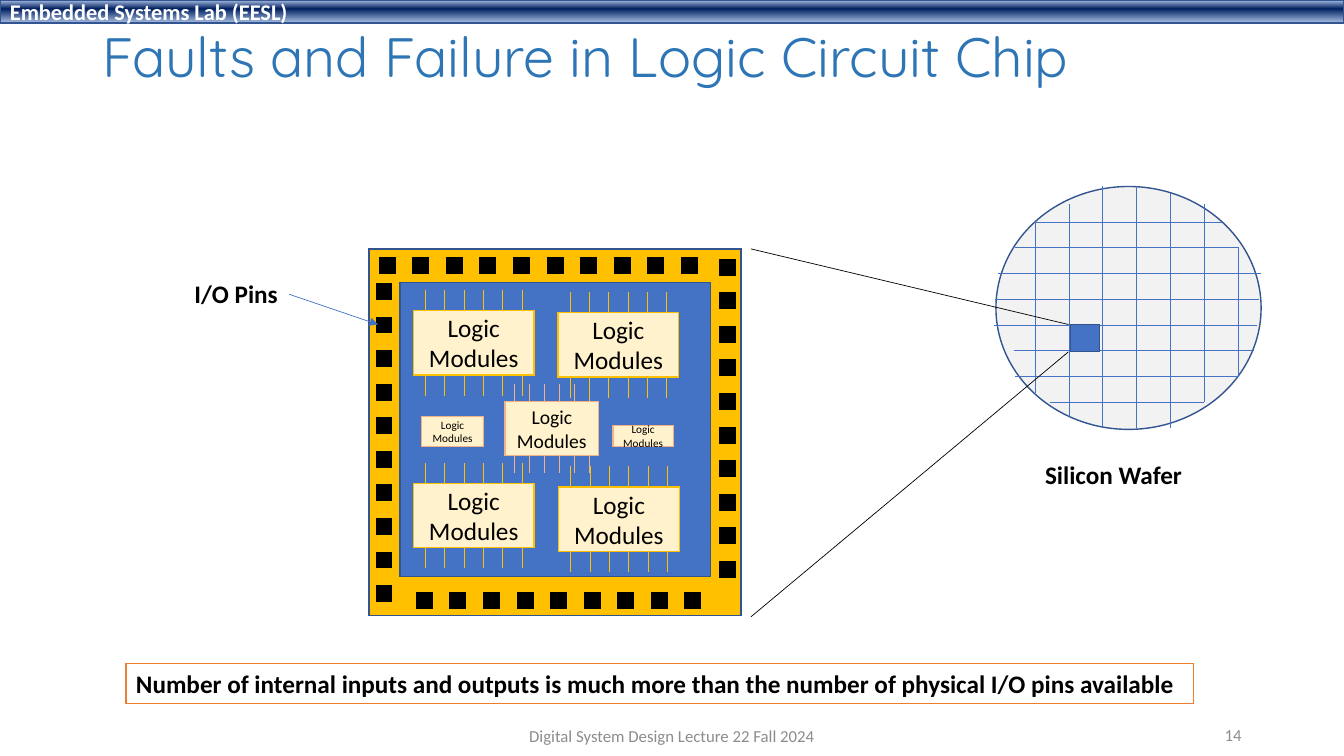
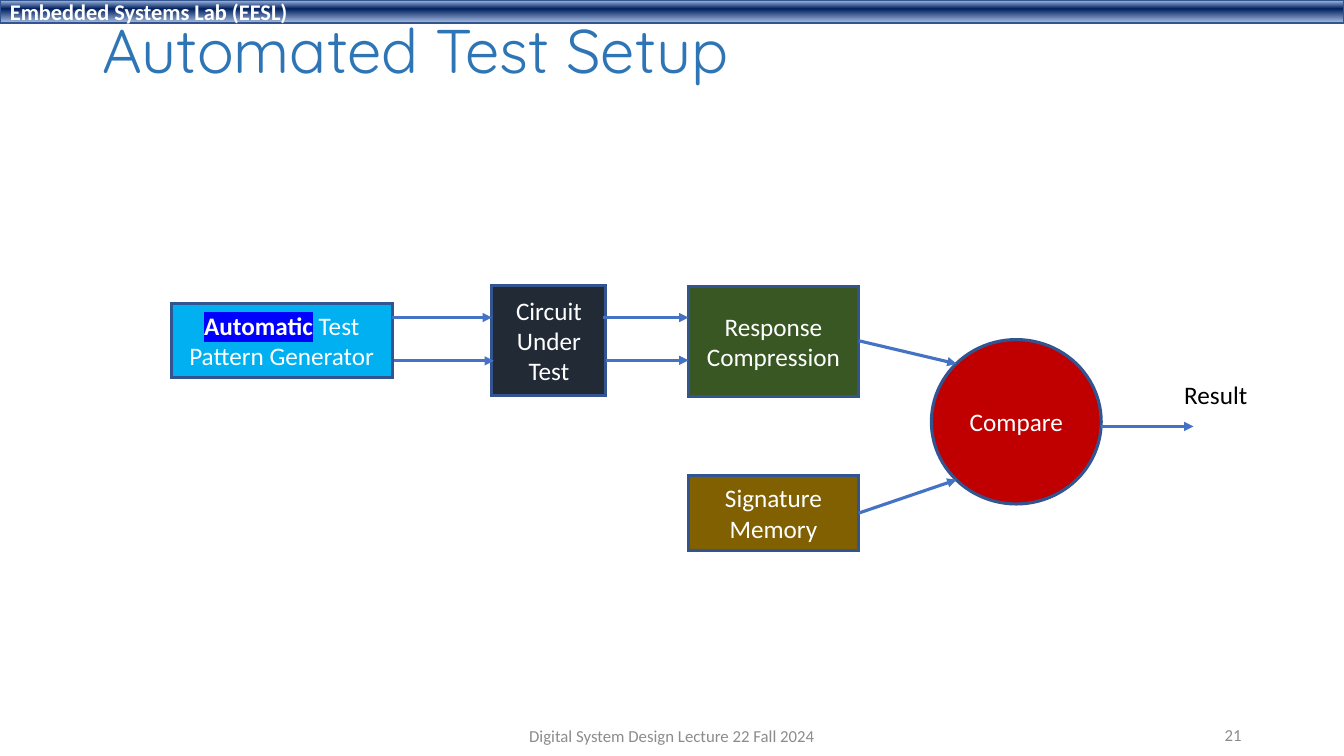
"""Build two lecture slides on chip faults and automated test equipment."""
from dataclasses import dataclass
from typing import Optional

from pptx import Presentation
from pptx import util as u
from pptx.dml.color import RGBColor
from pptx.enum import dml, shapes, text
from pptx.oxml import parse_xml
from pptx.oxml.ns import nsdecls

BLACK = RGBColor(0x00, 0x00, 0x00)
WHITE = RGBColor(0xFF, 0xFF, 0xFF)
GREY = RGBColor(0x8C, 0x8C, 0x8C)
PALE_GREY = RGBColor(0xF2, 0xF2, 0xF2)
TITLE_BLUE = RGBColor(0x2E, 0x75, 0xB6)
BLUE = RGBColor(0x44, 0x72, 0xC4)
EDGE_BLUE = RGBColor(0x32, 0x54, 0x91)
BAND_TOP = RGBColor(0xAB, 0xC0, 0xE4)
BAND_CORE = RGBColor(0x00, 0x20, 0x60)
BAND_BOTTOM = RGBColor(0xAC, 0xC1, 0xE5)
SKY = RGBColor(0x00, 0xB0, 0xF0)
SLATE = RGBColor(0x22, 0x2A, 0x35)
GREEN = RGBColor(0x38, 0x57, 0x23)
RED = RGBColor(0xC0, 0x00, 0x00)
OLIVE = RGBColor(0x80, 0x60, 0x00)
GOLD = RGBColor(0xFF, 0xC0, 0x00)
CREAM = RGBColor(0xFF, 0xF2, 0xCC)
PEACH = RGBColor(0xF4, 0xB1, 0x83)
ORANGE = RGBColor(0xED, 0x7D, 0x31)
HIGHLIGHT = RGBColor(0x00, 0x00, 0xFF)

BODY_FONT = "Calibri"
TITLE_FONT = "Quicksand"
PAGE_WIDTH, PAGE_HEIGHT = 960, 540
RECT = shapes.MSO_SHAPE.RECTANGLE
OVAL = shapes.MSO_SHAPE.OVAL
LEFT, CENTER, RIGHT = text.PP_ALIGN.LEFT, text.PP_ALIGN.CENTER, text.PP_ALIGN.RIGHT
TOP, MIDDLE = text.MSO_ANCHOR.TOP, text.MSO_ANCHOR.MIDDLE


@dataclass(frozen=True)
class Area:
    """A rectangle in points."""

    left: float
    top: float
    width: float
    height: float

    def lengths(self) -> list:
        """Return the four lengths as Pt values."""
        return [u.Pt(value) for value in (self.left, self.top, self.width, self.height)]


@dataclass(frozen=True)
class Style:
    """How a text is set."""

    size: float = 18
    color: RGBColor = BLACK
    bold: bool = False
    align: text.PP_ALIGN = LEFT
    anchor: text.MSO_ANCHOR = TOP
    wrap: bool = True
    font: str = BODY_FONT
    spacing: Optional[float] = None


@dataclass(frozen=True)
class Block:
    """A filled shape with an optional label."""

    area: Area
    fill: RGBColor
    line: RGBColor = EDGE_BLUE
    weight: float = 1
    label: str = ""
    style: Style = Style(align=CENTER, anchor=MIDDLE)
    kind: shapes.MSO_SHAPE = RECT
    marked: str = ""


@dataclass(frozen=True)
class Stroke:
    """A straight line in points."""

    x1: float
    y1: float
    x2: float
    y2: float
    color: RGBColor = BLUE
    weight: float = 0.5
    arrow: bool = False
    dotted: bool = False


LABEL = Style(bold=True, wrap=False)
STAGE = Style(color=WHITE, align=CENTER, anchor=MIDDLE)
FOOTER = Style(size=12, color=GREY, align=CENTER, anchor=MIDDLE)
NUMBER = Style(size=12, color=GREY, align=RIGHT, anchor=MIDDLE)

BAND_STOPS = [(0, BAND_TOP), (38, BAND_CORE), (100, BAND_BOTTOM)]
PIN_ROWS = [
    (276.5, 189.4, 509.8, 189.4),
    (303.1, 429.1, 518.4, 429.1),
    (274.3, 208.1, 274.3, 427.7),
    (519.8, 190.8, 519.8, 430.6),
]
LARGE_MODULES = [(295.2, 221.8), (398.5, 223.2), (295.2, 345.2), (398.9, 347.8)]
SMALL_MODULES = [Area(437.8, 303.8, 43.2, 15.1), Area(301, 297.4, 44.6, 21.6)]
WAFER_COLUMNS = [(158, 281), (146, 298), (133, 306), (133, 306), (138, 306), (146, 287), (177, 269)]
WAFER_ROWS = [(739, 873), (725, 885), (713, 901), (711, 899),
              (710, 898), (724, 896), (725, 885), (750, 860)]
STAGES = [
    Block(Area(122.4, 216.7, 157.7, 53.3), SKY, weight=2.25, style=STAGE,
          label=" Test Pattern Generator", marked="Automatic"),
    Block(Area(351.4, 203.8, 81.4, 78.5), SLATE, weight=2.25, style=STAGE,
          label="Circuit Under Test"),
    Block(Area(491.8, 204.5, 121.3, 78.5), GREEN, weight=2.25, style=STAGE,
          label="Response Compression"),
    Block(Area(665.3, 242.6, 121.3, 117.4), RED, weight=2.25, style=STAGE,
          label="Compare", kind=OVAL),
    Block(Area(491.8, 339.8, 121.3, 53.3), OLIVE, weight=2.25, style=STAGE,
          label="Signature Memory"),
]
SIGNALS = [
    (786.2, 304.6, 852.5, 304.6),
    (613.4, 243.4, 683.3, 259.9),
    (613.4, 366.5, 683.3, 342.7),
    (280.1, 226.8, 351.4, 226.8),
    (281.5, 257.8, 352.8, 257.8),
    (430.6, 226.8, 491.8, 226.8),
    (432.7, 257.4, 491.8, 257.4),
]


def write(box, label: str, style: Style, marked: str = "") -> None:
    """Put a label, led by an optional highlighted part, into a shape."""
    frame = box.text_frame
    frame.word_wrap = style.wrap
    frame.vertical_anchor = style.anchor
    para = frame.paragraphs[0]
    para.alignment = style.align
    if style.spacing:
        para.line_spacing = style.spacing
    para.font.name = style.font
    para.font.size = u.Pt(style.size)
    para.font.bold = style.bold
    para.font.color.rgb = style.color
    if marked:
        span = para.add_run()
        span.text = marked
        span.font.bold = True
        span.font._element.append(parse_xml(
            f'<a:highlight {nsdecls("a")}><a:srgbClr val="{HIGHLIGHT}"/></a:highlight>'))
    para.add_run().text = label


def add_label(page, area: Area, label: str, style: Style) -> None:
    """Add a plain text box."""
    write(page.shapes.add_textbox(*area.lengths()), label, style)


def add_block(canvas, block: Block):
    """Add a filled shape to a shape collection."""
    box = canvas.add_shape(block.kind, *block.area.lengths())
    box.shadow.inherit = False
    box.fill.solid()
    box.fill.fore_color.rgb = block.fill
    box.line.color.rgb = block.line
    box.line.width = u.Pt(block.weight)
    box.line._get_or_add_ln().append(parse_xml(f'<a:miter {nsdecls("a")} lim="800000"/>'))
    if block.label:
        write(box, block.label, block.style, block.marked)
    return box


def add_stroke(canvas, stroke: Stroke) -> None:
    """Add a line, an arrow or a row of square dots."""
    ends = [u.Pt(value) for value in (stroke.x1, stroke.y1, stroke.x2, stroke.y2)]
    link = canvas.add_connector(shapes.MSO_CONNECTOR.STRAIGHT, *ends)
    link.line.color.rgb = stroke.color
    link.line.width = u.Pt(stroke.weight)
    outline = link.line._get_or_add_ln()
    if stroke.dotted:
        link.line.dash_style = dml.MSO_LINE.ROUND_DOT
        outline.set("cap", "sq")
    if stroke.arrow:
        outline.append(parse_xml(f'<a:tailEnd {nsdecls("a")} type="triangle"/>'))
    link._element.spPr.append(parse_xml(f'<a:effectLst {nsdecls("a")}/>'))


def add_band(page) -> None:
    """Add the gradient band across the top."""
    style = Style(size=16, color=WHITE, bold=True, anchor=MIDDLE)
    band = add_block(page.shapes, Block(Area(0, 0, PAGE_WIDTH, 16.6), BLUE,
                                        label="Embedded Systems Lab (EESL)", style=style))
    stops = "".join(f'<a:gs pos="{percent * 1000}"><a:srgbClr val="{color}"/></a:gs>'
                    for percent, color in BAND_STOPS)
    solid = band._element.spPr.find("{*}solidFill")
    solid.getparent().replace(solid, parse_xml(
        f'<a:gradFill {nsdecls("a")} rotWithShape="1"><a:gsLst>{stops}</a:gsLst>'
        '<a:lin ang="5400000" scaled="0"/></a:gradFill>'))


def add_page(deck, title: str, size: float, height: float, number: int):
    """Add a slide with band, title and footer."""
    page = deck.slides.add_slide(deck.slide_layouts[6])
    add_band(page)
    add_label(page, Area(66, 10.8, 828, height), title,
              Style(size=size, color=TITLE_BLUE, anchor=MIDDLE, font=TITLE_FONT, spacing=0.9))
    add_label(page, Area(318, 511.2, 324, 28.8),
              "Digital System Design Lecture 22 Fall 2024", FOOTER)
    add_label(page, Area(678, 510.5, 216, 28.8), str(number), NUMBER)
    return page


def add_module(page, area: Area, line: RGBColor, size: float, wired: bool = True) -> None:
    """Add a logic module, with six wires above and six below if wired."""
    canvas = page.shapes.add_group_shape().shapes if wired else page.shapes
    add_block(canvas, Block(area, CREAM, line, label="Logic Modules",
                            style=Style(size=size, align=CENTER, anchor=MIDDLE)))
    if not wired:
        return
    reach = 0.32 * area.height
    for start in (area.top - reach, area.top + area.height):
        for index in range(6):
            x = area.left + area.width * (0.1 + 0.16 * index)
            add_stroke(canvas, Stroke(x, start, x, start + reach, line))


def add_chip(page) -> None:
    """Draw the chip with its pins and modules."""
    add_block(page.shapes, Block(Area(263.5, 177.8, 265.7, 262.1), GOLD))
    add_block(page.shapes, Block(Area(285.8, 201.6, 221.8, 210.2), BLUE))
    for row in PIN_ROWS:
        add_stroke(page.shapes, Stroke(*row, color=BLACK, weight=12, dotted=True))
    add_module(page, Area(360.7, 286.6, 67, 38.9), PEACH, 14)
    for area in SMALL_MODULES:
        add_module(page, area, PEACH, 8, wired=False)
    for left, top in LARGE_MODULES:
        add_module(page, Area(left, top, 86.4, 46.1), GOLD, 18)


def add_wafer(page) -> None:
    """Draw the wafer, its grid and the enlarged die."""
    add_block(page.shapes, Block(Area(711.4, 133.2, 189.4, 173.5), PALE_GREY, kind=OVAL))
    for index, (top, bottom) in enumerate(WAFER_COLUMNS):
        x = 739.4 + 24.15 * index
        add_stroke(page.shapes, Stroke(x, top, x, bottom))
    for index, (left, right) in enumerate(WAFER_ROWS):
        y = 158.6 + 18.4 * index
        add_stroke(page.shapes, Stroke(left, y, right, y))
    add_label(page, Area(739.4, 324.7, 113, 28.8), "Silicon Wafer", LABEL)
    add_block(page.shapes, Block(Area(764.6, 231.8, 20.9, 19.4), BLUE))
    for y, corner in ((231.8, 177.8), (251.3, 440.6)):
        add_stroke(page.shapes, Stroke(763.2, y, 536.4, corner, BLACK))


def build_chip_page(deck) -> None:
    """Build the slide on chip faults."""
    page = add_page(deck, "Faults and Failure in Logic Circuit Chip", 39.6, 64.1, 14)
    add_chip(page)
    add_wafer(page)
    add_label(page, Area(131.8, 195.1, 74.9, 28.8), "I/O Pins", LABEL)
    add_stroke(page.shapes, Stroke(206.6, 210.2, 270, 231.8, arrow=True))
    add_block(page.shapes, Block(
        Area(90, 473.8, 762.5, 28.8), WHITE, ORANGE, style=LABEL,
        label="Number of internal inputs and outputs is much more than "
              "the number of physical I/O pins available"))


def build_test_page(deck) -> None:
    """Build the slide on the test setup."""
    page = add_page(deck, "Automated Test Setup", 44, 55.4, 21)
    for stage in STAGES:
        add_block(page.shapes, stage)
    for signal in SIGNALS:
        add_stroke(page.shapes, Stroke(*signal, weight=2.25, arrow=True))
    add_label(page, Area(838.8, 267.1, 59.8, 28.8), "Result", Style(wrap=False))


def main() -> None:
    """Build and save the deck."""
    deck = Presentation()
    deck.slide_width, deck.slide_height = u.Pt(PAGE_WIDTH), u.Pt(PAGE_HEIGHT)
    build_chip_page(deck)
    build_test_page(deck)
    deck.save("out.pptx")


if __name__ == "__main__":
    main()
